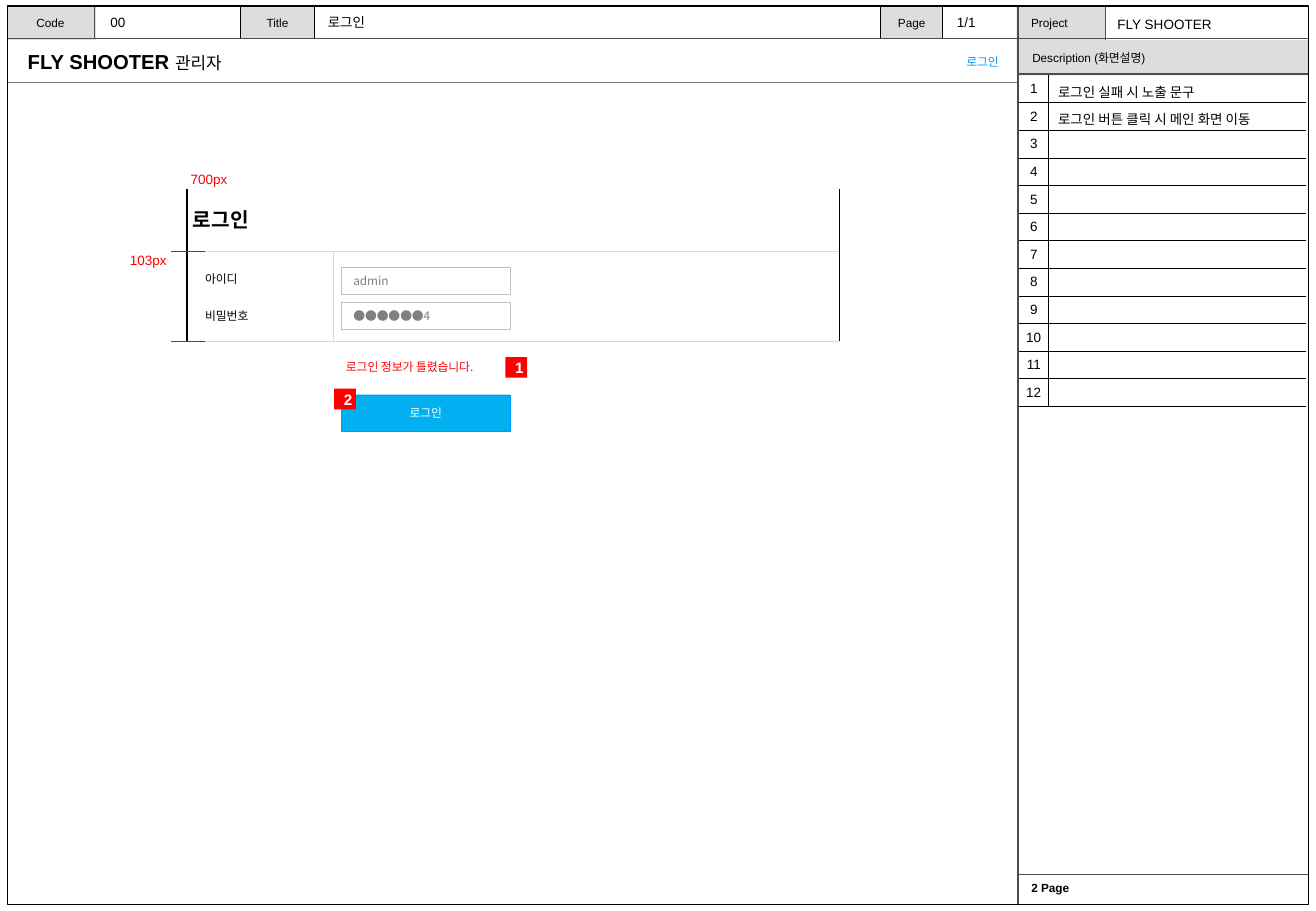
from dataclasses import dataclass

from lxml import etree
from pptx import Presentation
from pptx.dml.color import RGBColor
from pptx.enum.shapes import MSO_CONNECTOR, MSO_SHAPE
from pptx.enum.text import MSO_ANCHOR, MSO_AUTO_SIZE, PP_ALIGN
from pptx.oxml.ns import qn
from pptx.slide import Slide
from pptx.table import _Cell
from pptx.text.text import Font, TextFrame, _Paragraph
from pptx.util import Pt

LEFT, CENTER, RIGHT = PP_ALIGN.LEFT, PP_ALIGN.CENTER, PP_ALIGN.RIGHT
TOP, MIDDLE = MSO_ANCHOR.TOP, MSO_ANCHOR.MIDDLE
FIT_SHAPE = MSO_AUTO_SIZE.SHAPE_TO_FIT_TEXT
RECTANGLE, STRAIGHT = MSO_SHAPE.RECTANGLE, MSO_CONNECTOR.STRAIGHT


@dataclass(frozen=True)
class Theme:
    latin: str = "Arial"
    korean: str = "Noto Sans CJK KR"
    black: str = "000000"
    white: str = "FFFFFF"
    band: str = "DDDDDD"
    divider: str = "4D4D4D"
    header_rule: str = "7F7F7F"
    form_rule: str = "D9D9D9"
    input_border: str = "BFBFBF"
    input_text: str = "808080"
    button: str = "00B0F0"
    link: str = "0099FF"
    alert: str = "FF0000"
    small: float = 7
    body: float = 8
    badge: float = 9
    subtitle: float = 10
    heading: float = 12
    hairline: float = 0.25
    stroke: float = 0.75


THEME = Theme()


@dataclass(frozen=True)
class Span:
    text: str
    size: float = THEME.small
    bold: bool = False


@dataclass(frozen=True)
class Box:
    left: float
    top: float
    width: float
    height: float
    spans: tuple[Span, ...] = ()
    color: str = THEME.black
    font: str = THEME.latin
    align: PP_ALIGN = LEFT
    anchor: MSO_ANCHOR = TOP
    wrap: bool = True
    fill: str | None = None
    line: str | None = None
    line_width: float = THEME.stroke
    inset: tuple[float, float] = (7.2, 3.6)


@dataclass(frozen=True)
class Rule:
    x1: float
    y1: float
    x2: float
    y2: float
    color: str = THEME.divider
    width: float = THEME.stroke


def rgb(value: str) -> RGBColor:
    return RGBColor.from_string(value)


def style_font(font: Font, span: Span, name: str, color: str) -> None:
    font.name, font.size, font.bold = name, Pt(span.size), span.bold
    font.color.rgb = rgb(color)


def write_spans(para: _Paragraph, spans: tuple[Span, ...], name: str, color: str) -> None:
    for span in spans:
        run = para.add_run()
        run.text = span.text
        style_font(para.font if len(spans) == 1 else run.font, span, name, color)
    for latin in list(para._p.iter(qn("a:latin"))):
        east_asian = etree.Element(qn("a:ea"), typeface=THEME.korean)
        latin.addnext(east_asian)


def fill_frame(frame: TextFrame, box: Box) -> None:
    frame.word_wrap = box.wrap
    if not box.wrap:
        frame.auto_size = FIT_SHAPE
    frame.vertical_anchor = box.anchor
    frame.margin_left = frame.margin_right = Pt(box.inset[0])
    frame.margin_top = frame.margin_bottom = Pt(box.inset[1])
    para = frame.paragraphs[0]
    para.alignment = box.align
    write_spans(para, box.spans, box.font, box.color)


def draw_box(page: Slide, box: Box) -> None:
    area = Pt(box.left), Pt(box.top), Pt(box.width), Pt(box.height)
    if box.fill or box.line:
        shape = page.shapes.add_shape(RECTANGLE, *area)
        shape.shadow.inherit = False
    else:
        shape = page.shapes.add_textbox(*area)
    if box.fill:
        shape.fill.solid()
        shape.fill.fore_color.rgb = rgb(box.fill)
    else:
        shape.fill.background()
    if box.line:
        shape.line.color.rgb = rgb(box.line)
        shape.line.width = Pt(box.line_width)
    else:
        shape.line.fill.background()
    if box.spans:
        fill_frame(shape.text_frame, box)


def draw_rule(page: Slide, rule: Rule) -> None:
    line = page.shapes.add_connector(STRAIGHT, Pt(rule.x1), Pt(rule.y1), Pt(rule.x2), Pt(rule.y2))
    line.line.color.rgb = rgb(rule.color)
    line.line.width = Pt(rule.width)
    etree.SubElement(line._element.spPr, qn("a:effectLst"))


def set_borders(cell: _Cell, edges: dict[str, bool]) -> None:
    properties = cell._tc.get_or_add_tcPr()
    for edge, visible in edges.items():
        border = etree.SubElement(properties, qn(f"a:ln{edge}"), w=str(Pt(THEME.stroke)))
        if visible:
            solid = etree.SubElement(border, qn("a:solidFill"))
            etree.SubElement(solid, qn("a:srgbClr"), val=THEME.black)
        else:
            etree.SubElement(border, qn("a:noFill"))


def draw_descriptions(page: Slide, notes: tuple[str, ...], row_count: int) -> None:
    row_height = 16.38
    table = page.shapes.add_table(
        row_count, 2, Pt(604.1), Pt(44.64), Pt(169.92), Pt(row_height * row_count)
    ).table
    table.first_row = table.horz_banding = False
    for column, width in zip(table.columns, (17.28, 152.64)):
        column.width = Pt(width)
    for index, row in enumerate(table.rows):
        row.height = Pt(row_height)
        note = notes[index] if index < len(notes) else ""
        for position, text in enumerate((str(index + 1), note)):
            cell = row.cells[position]
            cell.margin_left = cell.margin_right = Pt((2.88, 5.76)[position])
            cell.margin_top, cell.margin_bottom = Pt(3.6), Pt(0)
            set_borders(cell, {"L": position == 1, "R": position == 0, "T": index > 0, "B": True})
            cell.fill.background()
            para = cell.text_frame.paragraphs[0]
            para.alignment = (CENTER, LEFT)[position]
            if text:
                write_spans(para, (Span(text, THEME.body),), THEME.latin, THEME.black)
            else:
                etree.SubElement(para._p, qn("a:endParaRPr"), sz=str(int(THEME.body * 100)))


def header_label(left: float, width: float, text: str) -> Box:
    return Box(left, 3.6, width, 19.44, (Span(text),), align=CENTER, anchor=MIDDLE,
               fill=THEME.band, line=THEME.black)


def header_value(left: float, width: float, text: str, top: float = 5.04) -> Box:
    return Box(left, top, width, 17.28, (Span(text, THEME.body),))


def form_label(top: float, text: str, width: float) -> Box:
    return Box(114.48, top, width, 15.84, (Span(text),), font=THEME.korean, wrap=False)


def form_input(top: float, text: str) -> Box:
    return Box(202.32, top, 100.08, 15.84, (Span(text),), THEME.input_text, THEME.korean,
               anchor=MIDDLE, line=THEME.input_border, line_width=THEME.hairline)


def badge(left: float, top: float, text: str) -> Box:
    return Box(left, top, 12.96, 12.24, (Span(text, THEME.badge, True),), THEME.white,
               align=CENTER, anchor=MIDDLE, fill=THEME.alert)


def measure(left: float, top: float, text: str) -> Box:
    return Box(left, top, 36.72, 17.28, (Span(text, THEME.body),), THEME.alert, wrap=False)


FORM_LEFT, FORM_RIGHT, FORM_TOP, FORM_BOTTOM = 110.88, 497.52, 149.04, 202.32

BANDS = (
    Box(602.64, 23.76, 172.8, 20.88, (Span("Description (화면설명)"),), anchor=MIDDLE,
        fill=THEME.band, inset=(9.2, 3.6)),
    header_label(522, 36.72, "Page"),
    header_label(142.56, 43.92, "Title"),
    *(Box(left, 4.32, 52.56, 19.44, fill=THEME.band) for left in (4.32, 602.64)),
)
RULES = (
    Rule(603.36, 3.6, 603.36, 536.4),
    Rule(5.04, 23.04, 775.44, 23.04),
    Rule(655.2, 4.32, 655.2, 23.76),
    Rule(604.08, 518.4, 775.44, 518.4),
    Rule(604.08, 43.92, 775.44, 43.92),
    Rule(56.16, 4.32, 56.16, 23.04),
    Rule(5.04, 48.96, 602.64, 48.96, THEME.header_rule),
    Rule(240 - 42.72, FORM_TOP, 240 - 42.72, 203.04, THEME.form_rule, THEME.hairline),
    *(Rule(112.32, y, FORM_RIGHT, y, THEME.form_rule, THEME.hairline)
      for y in (FORM_TOP, FORM_BOTTOM)),
    *(Rule(x, 112.32, x, FORM_BOTTOM, THEME.black) for x in (FORM_RIGHT, FORM_LEFT)),
    *(Rule(121.68, y, 101.52, y, THEME.alert) for y in (FORM_TOP, FORM_BOTTOM)),
)
CONTENT = (
    Box(4.32, 3.6, 771.12, 532.8, line=THEME.black),
    Box(5.04, 3.6, 49.68, 19.44, (Span("Code"),), align=CENTER, anchor=MIDDLE),
    header_value(58.32, 43.2, "00"),
    header_value(187.2, 334.8, "로그인"),
    header_value(560.16, 43.2, "1/1"),
    Box(604.08, 5.76, 51.84, 17.28, (Span("Project"),)),
    header_value(655.2, 116.64, "FLY SHOOTER", 5.76),
    Box(605.52, 519.12, 167.04, 14.4, (Span("2 Page", bold=True),), inset=(5.76, 2.88)),
    Box(483.12, 28.8, 115.92, 15.84, (Span("로그인"),), THEME.link, align=RIGHT),
    Box(9.36, 25.92, 464.4, 21.6,
        (Span("FLY SHOOTER ", THEME.heading, True), Span("관리자", THEME.subtitle)), anchor=MIDDLE),
    Box(107.28, 119.52, 398.16, 21.6, (Span("로그인", THEME.heading, True),), font=THEME.korean),
    form_label(157.68, "아이디", 36),
    form_input(158.4, "admin"),
    form_label(179.28, "비밀번호", 42.48),
    form_input(179.28, "●●●●●●4"),
    Box(202.32, 234, 100.08, 21.6, (Span("로그인"),), THEME.white, THEME.korean, CENTER, MIDDLE,
        fill=THEME.button, line=THEME.link, line_width=THEME.hairline),
    Box(198, 209.52, 98.64, 15.84, (Span("로그인 정보가 틀렸습니다."),), THEME.alert, THEME.korean,
        wrap=False),
    badge(299.52, 211.68, "1"),
    badge(198, 230.4, "2"),
    measure(105.84, 97.92, "700px"),
    measure(69.84, 146.16, "103px"),
)
NOTES = ("로그인 실패 시 노출 문구", "로그인 버튼 클릭 시 메인 화면 이동")


def main() -> None:
    deck = Presentation()
    deck.slide_width, deck.slide_height = Pt(780), Pt(540)
    page = deck.slides.add_slide(deck.slide_layouts[6])
    for box in BANDS:
        draw_box(page, box)
    for rule in RULES:
        draw_rule(page, rule)
    for box in CONTENT:
        draw_box(page, box)
    draw_descriptions(page, NOTES, 12)
    deck.save("out.pptx")


if __name__ == "__main__":
    main()
